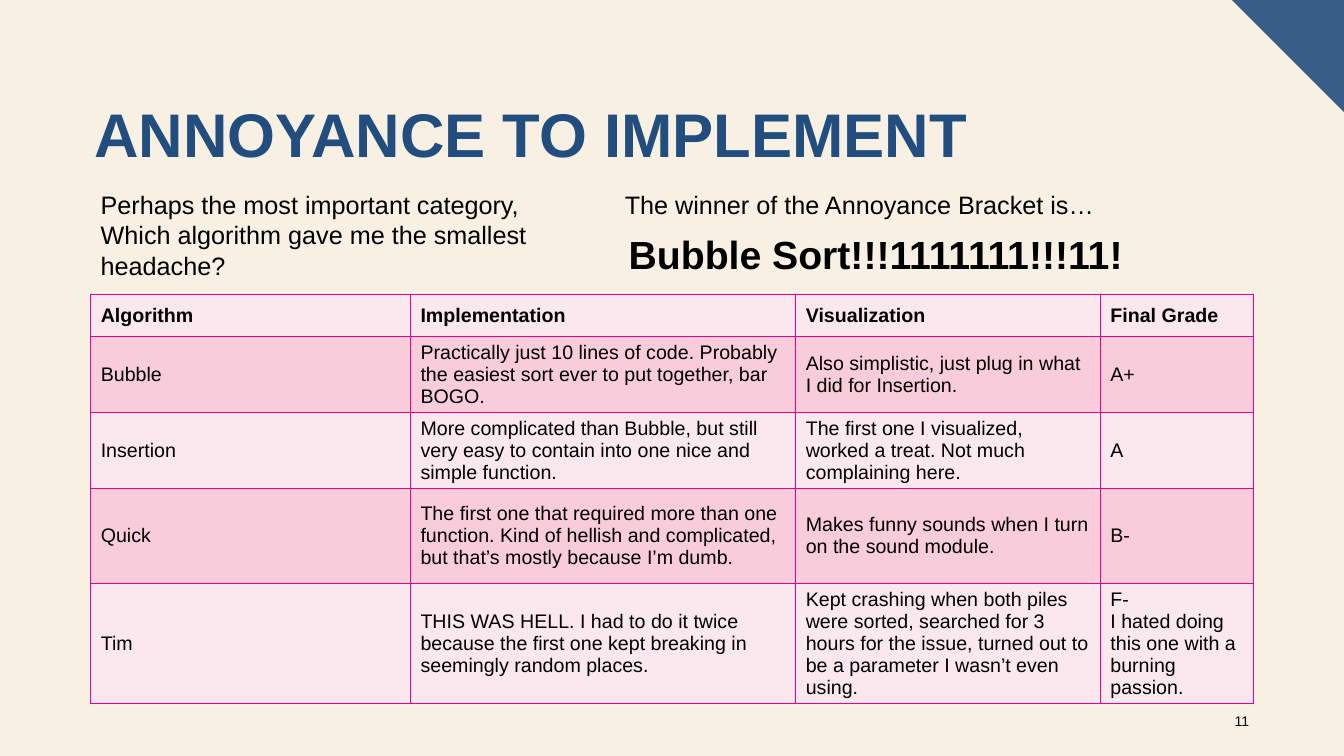
from dataclasses import dataclass

from lxml import etree
from pptx import Presentation
from pptx import util as u
from pptx.dml.color import RGBColor
from pptx.enum import text as t
from pptx.oxml import ns

CREAM = RGBColor(0xF8, 0xF0, 0xE3)
CORNER_BLUE = RGBColor(0x38, 0x5E, 0x88)
TITLE_BLUE = RGBColor(0x22, 0x4E, 0x7F)
BLACK = RGBColor(0, 0, 0)
LIGHT_PINK = RGBColor(0xFB, 0xE7, 0xEE)
PINK = RGBColor(0xF8, 0xCC, 0xDA)
MAGENTA = RGBColor(0xEC, 0x00, 0x8C)
FONT = "Arial"
SLIDE_WIDTH, SLIDE_HEIGHT = 960, 540
CORNER_SIZE = 80


@dataclass
class Label:
    words: str
    left: float
    top: float
    width: float
    height: float
    size: float = 18
    color: RGBColor = BLACK
    bold: bool = False
    wrap: bool = True
    spacing: float = 1.0
    align: t.PP_ALIGN = t.PP_ALIGN.LEFT
    anchor: t.MSO_ANCHOR = t.MSO_ANCHOR.TOP


LABELS = [
    Label("ANNOYANCE TO IMPLEMENT", 60.4, 71, 840, 104.5, 44, TITLE_BLUE,
          bold=True, spacing=0.9),
    Label("Perhaps the most important category, Which algorithm gave me "
          "the smallest headache?", 64.8, 131.8, 337, 85.7),
    Label("The winner of the Annoyance Bracket is…", 439.2, 131.8, 358.6, 28.8,
          wrap=False),
    Label("Bubble Sort!!!1111111!!!11!", 442, 160.9, 411.8, 41, 28,
          bold=True, wrap=False),
    Label("11", 863.3, 500.4, 36, 28.8, 10, align=t.PP_ALIGN.RIGHT,
          anchor=t.MSO_ANCHOR.MIDDLE),
]

TABLE_LEFT, TABLE_TOP = 64.8, 210.2
COLUMN_WIDTHS = [228.4, 275.2, 217.6, 109.4]
ROW_HEIGHTS = [30.2, 54.3, 54.3, 67.8, 85.7]
CELL_MARGIN = 0.5
GRADES = [
    ["Algorithm", "Implementation", "Visualization", "Final Grade"],
    ["Bubble",
     "Practically just 10 lines of code. Probably the easiest sort ever to "
     "put together, bar BOGO.",
     "Also simplistic, just plug in what I did for Insertion.", "A+"],
    ["Insertion",
     "More complicated than Bubble, but still very easy to contain into one "
     "nice and simple function.",
     "The first one I visualized, worked a treat. Not much complaining here.",
     "A"],
    ["Quick",
     "The first one that required more than one function. Kind of hellish "
     "and complicated, but that’s mostly because I’m dumb.",
     "Makes funny sounds when I turn on the sound module.", "B-"],
    ["Tim",
     "THIS WAS HELL. I had to do it twice because the first one kept "
     "breaking in seemingly random places.",
     "Kept crashing when both piles were sorted, searched for 3 hours for "
     "the issue, turned out to be a parameter I wasn’t even using.",
     "F-\nI hated doing this one with a burning passion."],
]


def add_run(paragraph, words: str, size: float, color: RGBColor, bold: bool) -> None:
    run = paragraph.add_run()
    run.text = words
    run.font.name = FONT
    run.font.size = u.Pt(size)
    run.font.color.rgb = color
    run.font.bold = bold


def add_corner(slide) -> None:
    builder = slide.shapes.build_freeform(
        u.Pt(SLIDE_WIDTH), u.Pt(CORNER_SIZE), scale=1.0)
    builder.add_line_segments(
        [(u.Pt(SLIDE_WIDTH - CORNER_SIZE), 0), (u.Pt(SLIDE_WIDTH), 0)], close=True)
    shape = builder.convert_to_shape()
    shape.shadow.inherit = False
    shape.fill.solid()
    shape.fill.fore_color.rgb = CORNER_BLUE
    shape.line.fill.background()


def add_label(slide, label: Label) -> None:
    box = slide.shapes.add_textbox(u.Pt(label.left), u.Pt(label.top),
                                   u.Pt(label.width), u.Pt(label.height))
    frame = box.text_frame
    frame.word_wrap = label.wrap
    if not label.wrap:
        frame.auto_size = t.MSO_AUTO_SIZE.SHAPE_TO_FIT_TEXT
    frame.vertical_anchor = label.anchor
    paragraph = frame.paragraphs[0]
    paragraph.alignment = label.align
    paragraph.line_spacing = label.spacing
    add_run(paragraph, label.words, label.size, label.color, label.bold)


def add_borders(cell) -> None:
    properties = cell._tc.get_or_add_tcPr()
    # Border lines must stand before the fill
    for position, side in enumerate(("lnL", "lnR", "lnT", "lnB")):
        line = etree.Element(ns.qn(f"a:{side}"), w=str(u.Pt(1)))
        fill = etree.SubElement(line, ns.qn("a:solidFill"))
        etree.SubElement(fill, ns.qn("a:srgbClr"), val=str(MAGENTA))
        properties.insert(position, line)


def add_grades(slide) -> None:
    frame = slide.shapes.add_table(
        len(GRADES), len(COLUMN_WIDTHS), u.Pt(TABLE_LEFT), u.Pt(TABLE_TOP),
        u.Pt(sum(COLUMN_WIDTHS)), u.Pt(sum(ROW_HEIGHTS)))
    table = frame.table
    for column, width in zip(table.columns, COLUMN_WIDTHS):
        column.width = u.Pt(width)
    for index, (row, height) in enumerate(zip(table.rows, ROW_HEIGHTS)):
        row.height = u.Pt(height)
        for cell, words in zip(row.cells, GRADES[index]):
            cell.vertical_anchor = t.MSO_ANCHOR.MIDDLE
            cell.margin_top = cell.margin_bottom = u.Pt(CELL_MARGIN)
            cell.fill.solid()
            cell.fill.fore_color.rgb = PINK if index % 2 else LIGHT_PINK
            add_borders(cell)
            content = cell.text_frame
            for number, part in enumerate(words.split("\n")):
                paragraph = content.add_paragraph() if number else content.paragraphs[0]
                add_run(paragraph, part, 14, BLACK, index == 0)


def main() -> None:
    presentation = Presentation()
    presentation.slide_width = u.Pt(SLIDE_WIDTH)
    presentation.slide_height = u.Pt(SLIDE_HEIGHT)
    slide = presentation.slides.add_slide(presentation.slide_layouts[6])

    # Background and corner
    slide.background.fill.solid()
    slide.background.fill.fore_color.rgb = CREAM
    add_corner(slide)

    # Table and texts
    add_grades(slide)
    for label in LABELS:
        add_label(slide, label)

    presentation.save("out.pptx")


if __name__ == "__main__":
    main()
